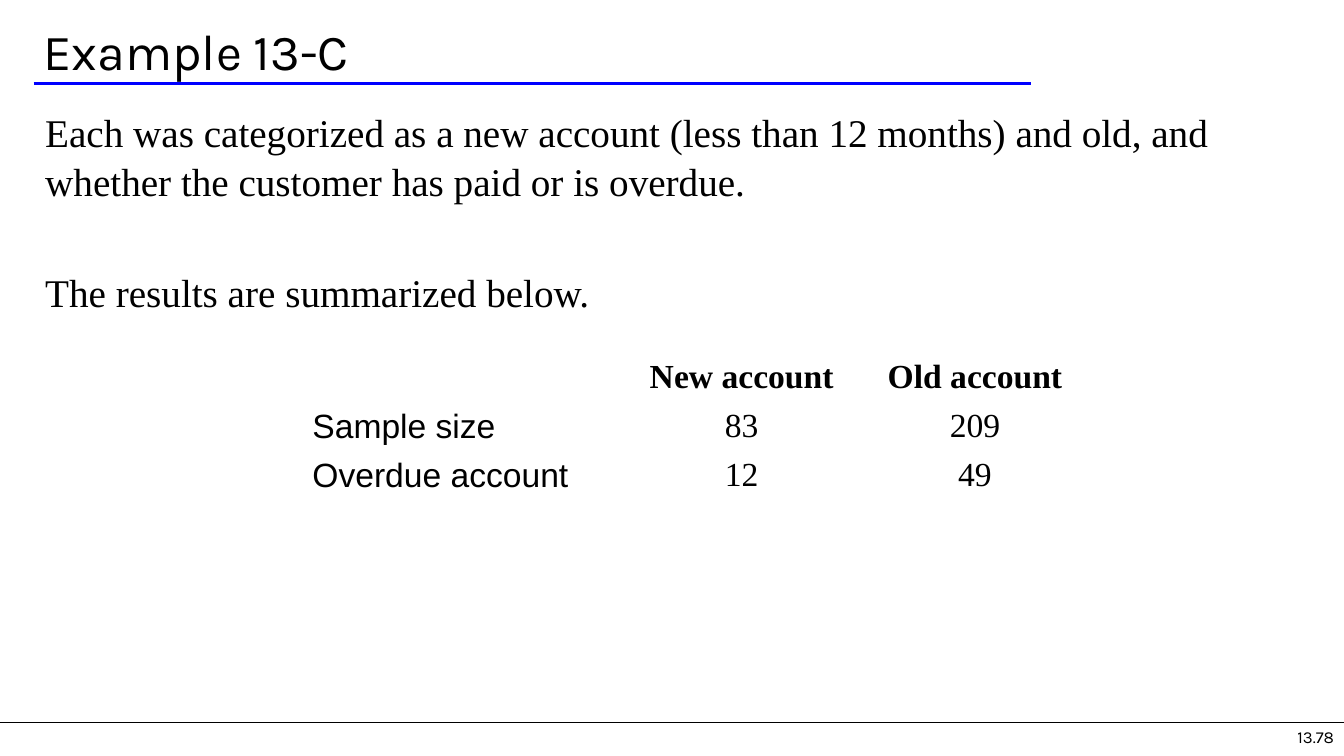
from lxml import etree
from pptx import Presentation
from pptx.dml.color import RGBColor
from pptx.enum.shapes import MSO_CONNECTOR
from pptx.enum.text import MSO_ANCHOR, PP_ALIGN
from pptx.oxml.ns import qn
from pptx.util import Cm, Pt

STRAIGHT = MSO_CONNECTOR.STRAIGHT
TOP, MIDDLE = MSO_ANCHOR.TOP, MSO_ANCHOR.MIDDLE
LEFT, CENTER, RIGHT = PP_ALIGN.LEFT, PP_ALIGN.CENTER, PP_ALIGN.RIGHT

COLORS = {"text": "000000", "rule": "0000FF", "paper": "FFFFFF"}
HEADING, SERIF, SANS = "Karla", "Times New Roman", "Arial"
SLIDE_W, SLIDE_H = 33.87, 19.05

ACCOUNTS = [
    ["", "New account", "Old account"],
    ["Sample size", "83", "209"],
    ["Overdue account", "12", "49"],
]


def color(name):
    return RGBColor.from_string(COLORS[name])


def style(p, font, size, align=LEFT, bold=False):
    p.alignment = align
    p.font.name = font
    p.font.size = Pt(size)
    p.font.bold = bold
    p.font.color.rgb = color("text")


def add_text(s, box, text, font, size, align=LEFT, anchor=TOP):
    tf = s.shapes.add_textbox(*map(Cm, box)).text_frame
    tf.word_wrap = True
    tf.vertical_anchor = anchor
    p = tf.paragraphs[0]
    p.text = text
    style(p, font, size, align)
    return tf


def add_rule(s, x, y, width, name, weight):
    line = s.shapes.add_connector(STRAIGHT, Cm(x), Cm(y), Cm(x + width), Cm(y))
    line.line.color.rgb = color(name)
    line.line.width = Pt(weight)
    etree.SubElement(line._element.spPr, qn("a:effectLst"))


def add_header(s, x, y, w, h):
    add_rule(s, x, y + h, 25.12, "rule", 2.5)
    add_text(s, (x, y, w, h), "Example 13-C", HEADING, 36, anchor=MIDDLE)


def add_body(s, x, y, w, h):
    tf = add_text(
        s, (x, y, w, h),
        "Each was categorized as a new account (less than 12 months) and old, "
        "and whether the customer has paid or is overdue.",
        SERIF, 28)
    p = tf.add_paragraph()
    p.text = "The results are summarized below."
    style(p, SERIF, 28)
    p.space_before = Pt(43.5)
    for p in tf.paragraphs:
        p.line_spacing = 1.05


def add_accounts(s, x, y, w, h):
    rows, cols = len(ACCOUNTS), len(ACCOUNTS[0])
    table = s.shapes.add_table(rows, cols, Cm(x), Cm(y), Cm(w), Cm(h)).table
    label_w = 8.13
    for i, column in enumerate(table.columns):
        column.width = Cm(label_w if i == 0 else (w - label_w) / (cols - 1))
    for i, values in enumerate(ACCOUNTS):
        table.rows[i].height = Cm(h / rows)
        for j, value in enumerate(values):
            cell = table.cell(i, j)
            cell.fill.solid()
            cell.fill.fore_color.rgb = color("paper")
            cell.margin_top = cell.margin_bottom = Cm(0.11)
            cell.vertical_anchor = MIDDLE
            p = cell.text_frame.paragraphs[0]
            p.text = value
            style(p, SERIF if j else SANS, 24, CENTER if j else LEFT, i == 0)


def add_footer(s, x, y, w, h):
    add_rule(s, x, y, w, "text", 0.75)
    number_w = 7.06
    add_text(s, (x + w - number_w, y, number_w, h), "13.78", HEADING, 12, RIGHT)


def main():
    prs = Presentation()
    prs.slide_width, prs.slide_height = Cm(SLIDE_W), Cm(SLIDE_H)
    s = prs.slides.add_slide(prs.slide_layouts[6])
    add_footer(s, 0, 18.2, SLIDE_W, 0.85)
    add_header(s, 0.85, 0.42, 32.46, 1.69)
    add_body(s, 0.89, 2.54, 32.97, 15.24)
    add_accounts(s, 7.62, 8.89, 19.89, 3.6)
    prs.save("out.pptx")


if __name__ == "__main__":
    main()
